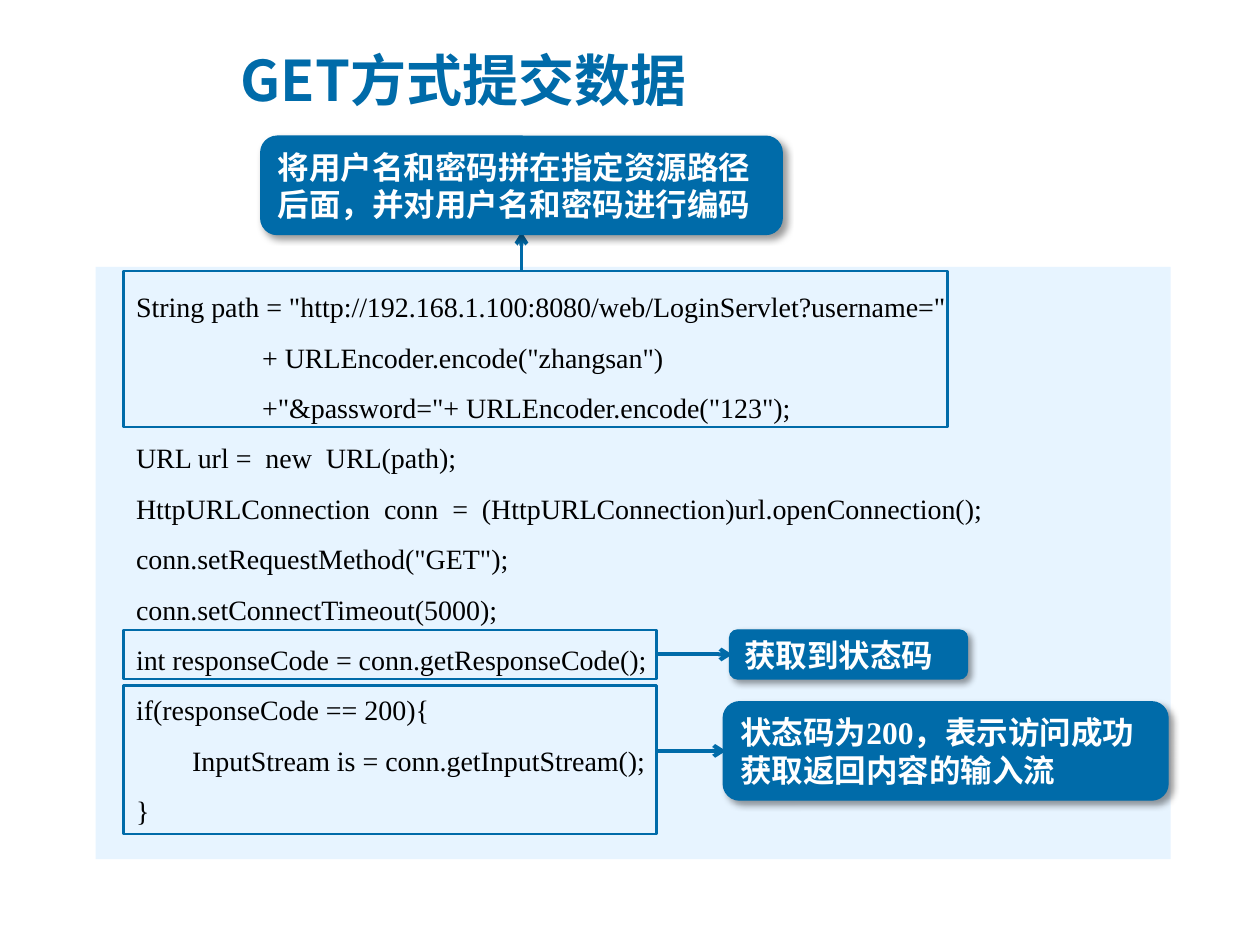
from lxml.etree import SubElement
from pptx import Presentation
from pptx.dml.color import RGBColor
from pptx.enum.shapes import MSO_CONNECTOR as Connector, MSO_SHAPE as Shape
from pptx.enum.text import MSO_ANCHOR as Anchor, PP_ALIGN as Align
from pptx.oxml.ns import qn
from pptx.util import Pt

BLUE = RGBColor(0x00, 0x6B, 0xA9)
PALE = RGBColor(0xE7, 0xF4, 0xFF)
BLACK = RGBColor(0, 0, 0)
WHITE = RGBColor(255, 255, 255)
SERIF, SANS, CJK = "Times New Roman", "Arial", "Noto Sans CJK SC"
OVERLAP = 1.5

CODE = [
    (16, 'String path = "http://192.168.1.100:8080/web/LoginServlet?username="'),
    (88, '+ URLEncoder.encode("zhangsan")'),
    (88, '+"&password="+ URLEncoder.encode("123");'),
    (16, "URL url =  new  URL(path);"),
    (16, "HttpURLConnection  conn  =  (HttpURLConnection)url.openConnection();"),
    (16, 'conn.setRequestMethod("GET");'),
    (16, "conn.setConnectTimeout(5000);"),
    (16, "int responseCode = conn.getResponseCode();"),
    (16, "if(responseCode == 200){"),
    (48, "InputStream is = conn.getInputStream();"),
    (16, "}"),
]
NOTES = [
    ((70.6, 154.8, 470.9, 89.3), (149, 77.8, 298, 56.2),
     [[("将用户名和密码拼在指定资源路径后面，并对用户名和密码进行编码", SANS)]]),
    ((70.6, 360, 304.6, 28), (416.9, 360, 136, 28),
     [[("获取到状态码", SANS)]]),
    ((70.6, 391.7, 304.6, 85), (413.3, 401, 254.2, 56.2),
     [[("状态码为", SANS), ("200", SERIF), ("，表示访问成功", SANS)],
      [("获取返回内容的输入流", SANS)]]),
]


def write_text(shape, lines, size, color, bold=False, anchor=Anchor.TOP,
               spacing=1.0, indents=None):
    """Fill a shape with lines, each a list of (text, font) spans."""
    frame = shape.text_frame
    frame.word_wrap = True
    frame.vertical_anchor = anchor
    for index, line in enumerate(lines):
        para = frame.add_paragraph() if index else frame.paragraphs[0]
        para.alignment = Align.LEFT
        para.line_spacing = spacing
        if indents:
            para._p.get_or_add_pPr().set("marL", str(Pt(indents[index])))
        for text, font in line:
            span = para.add_run()
            span.text = text
            span.font.name = font
            span.font.size = Pt(size)
            span.font.bold = bold
            span.font.color.rgb = color
            SubElement(span._r.get_or_add_rPr(), qn("a:ea"), typeface=CJK)


def add_box(page, kind, box, fill=None, line=None, width=1.5):
    """Draw a flat preset shape in the given box."""
    shape = page.shapes.add_shape(kind, *map(Pt, box))
    shape.shadow.inherit = False
    if fill is None:
        shape.fill.background()
    else:
        shape.fill.solid()
        shape.fill.fore_color.rgb = fill
    if line is None:
        shape.line.fill.background()
    else:
        shape.line.color.rgb = line
        shape.line.width = Pt(width)
    return shape


def add_shadow(shape):
    """Give a flat shape a soft shadow to the lower right."""
    effects = shape._element.spPr.find(qn("a:effectLst"))
    shadow = SubElement(effects, qn("a:outerShdw"), blurRad=str(Pt(4)),
                        dist=str(Pt(3)), dir="2700000", algn="tl",
                        rotWithShape="0")
    color = SubElement(shadow, qn("a:srgbClr"), val="000000")
    SubElement(color, qn("a:alpha"), val="40000")


def add_arrow(page, start, end):
    """Draw a straight arrow between two points."""
    arrow = page.shapes.add_connector(Connector.STRAIGHT, *map(Pt, start + end))
    arrow.line.color.rgb = BLUE
    arrow.line.width = Pt(2.25)
    SubElement(arrow.line._get_or_add_ln(), qn("a:tailEnd"), type="arrow")
    SubElement(arrow._element.spPr, qn("a:effectLst"))


def add_title(page, box, text):
    """Place and format the title placeholder."""
    title = page.shapes.title
    title.left, title.top, title.width, title.height = map(Pt, box)
    write_text(title, [[(text, CJK)]], size=32, color=BLUE, bold=True,
               anchor=Anchor.MIDDLE)


def add_code(page, box):
    """Draw the code listing on its pale panel."""
    panel = add_box(page, Shape.RECTANGLE, box, fill=PALE)
    write_text(panel, [[(text, SERIF)] for _, text in CODE], size=16,
               color=BLACK, spacing=1.5, indents=[indent for indent, _ in CODE])


def add_note(page, frame, bubble, lines):
    """Frame some code and point from it to a callout above or to the right."""
    left, top, width, height = bubble
    center, middle = left + width / 2, top + height / 2
    if top + height < frame[1]:
        start, end = (center, frame[1]), (center, top + height - OVERLAP)
    else:
        start, end = (frame[0] + frame[2], middle), (left + OVERLAP, middle)
    add_arrow(page, start, end)
    callout = add_box(page, Shape.ROUNDED_RECTANGLE, bubble, BLUE, BLUE, 0.75)
    add_shadow(callout)
    write_text(callout, lines, size=18, color=WHITE, bold=True,
               anchor=Anchor.MIDDLE)
    add_box(page, Shape.RECTANGLE, frame, line=BLUE)


def main():
    """Build the slide and save the deck."""
    deck = Presentation()
    deck.slide_width, deck.slide_height = Pt(720), Pt(540)
    page = deck.slides.add_slide(deck.slide_layouts[5])
    add_title(page, (130.3, 15, 405.4, 60.5), "GET方式提交数据")
    add_code(page, (54.7, 152.6, 614.2, 338.4))
    for frame, bubble, lines in NOTES:
        add_note(page, frame, bubble, lines)
    deck.save("out.pptx")


if __name__ == "__main__":
    main()
